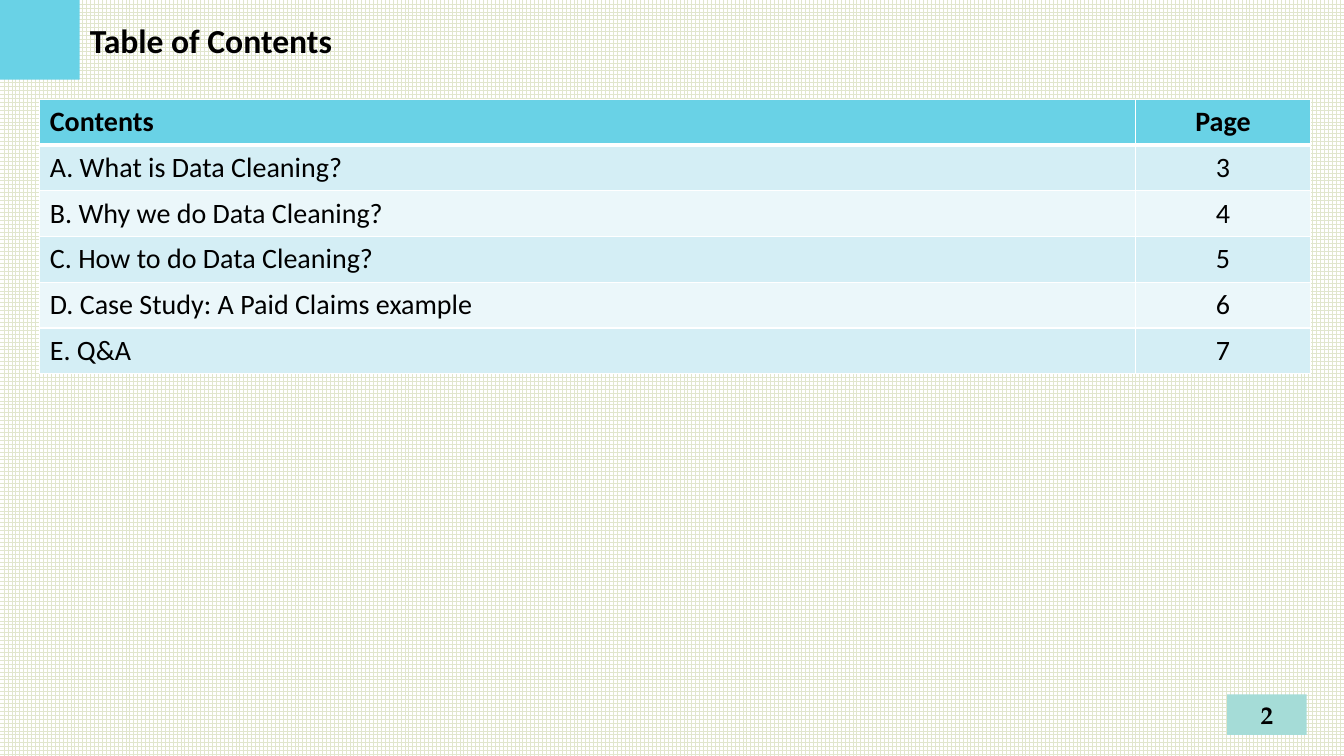
from lxml import etree
from pptx import Presentation
from pptx.dml.color import RGBColor
from pptx.enum.dml import MSO_PATTERN
from pptx.enum.shapes import MSO_SHAPE
from pptx.enum.text import MSO_ANCHOR, PP_ALIGN
from pptx.oxml.ns import qn
from pptx.util import Inches, Pt

TITLE = "Table of Contents"
PAGE_NUMBER = "2"
ROWS = [
    ("Contents", "Page"),
    ("A. What is Data Cleaning?", "3"),
    ("B. Why we do Data Cleaning?", "4"),
    ("C. How to do Data Cleaning?", "5"),
    ("D. Case Study: A Paid Claims example", "6"),
    ("E. Q&A", "7"),
]
COLUMN_WIDTHS = (10.87, 1.73)
COLUMN_ALIGNMENTS = (PP_ALIGN.LEFT, PP_ALIGN.CENTER)

SLIDE_WIDTH, SLIDE_HEIGHT = 13.33, 7.5
UNIT = 0.79  # side of the corner square, also the title band height
TABLE_LEFT, TABLE_TOP, TABLE_HEIGHT = UNIT / 2, UNIT * 1.25, 2.72

ACCENT, BADGE = "69D2E6", "A5DCD7"
BAND_FILLS = ("EBF7FA", "D4EEF5")
BLACK, WHITE, GRID_LINE = "000000", "FFFFFF", "E1E6CD"


def color(hex_string):
    return RGBColor.from_string(hex_string)


def write(text_frame, text, size, bold, alignment=PP_ALIGN.LEFT, font="Calibri"):
    text_frame.text = text
    paragraph = text_frame.paragraphs[0]
    paragraph.alignment = alignment
    paragraph.line_spacing = 1.0
    run_font = paragraph.runs[0].font
    run_font.name, run_font.size, run_font.bold = font, Pt(size), bold
    run_font.color.rgb = color(BLACK)


def add_rectangle(slide, left, top, width, height, fill):
    shape = slide.shapes.add_shape(MSO_SHAPE.RECTANGLE, Inches(left), Inches(top),
                                   Inches(width), Inches(height))
    shape.shadow.inherit = False
    shape.fill.solid()
    shape.fill.fore_color.rgb = color(fill)
    shape.line.fill.background()
    return shape


def set_borders(cell, widths):
    """Draw white cell borders; widths maps a side (L, R, T, B) to points."""
    properties = cell._tc.get_or_add_tcPr()
    for index, (side, width) in enumerate(widths.items()):
        line = etree.Element(qn(f"a:ln{side}"), w=str(Pt(width)))
        solid = etree.SubElement(line, qn("a:solidFill"))
        etree.SubElement(solid, qn("a:srgbClr"), val=WHITE)
        properties.insert(index, line)


def add_contents_table(slide):
    table = slide.shapes.add_table(
        len(ROWS), len(COLUMN_WIDTHS), Inches(TABLE_LEFT), Inches(TABLE_TOP),
        Inches(sum(COLUMN_WIDTHS)), Inches(TABLE_HEIGHT)).table
    for column, width in zip(table.columns, COLUMN_WIDTHS):
        column.width = Inches(width)
    for row_index, texts in enumerate(ROWS):
        is_header = row_index == 0
        fill = ACCENT if is_header else BAND_FILLS[row_index % 2]
        borders = {"L": 1, "R": 1, "T": 3 if row_index == 1 else 1,
                   "B": 3 if is_header else 1}
        for column_index, text in enumerate(texts):
            cell = table.cell(row_index, column_index)
            write(cell.text_frame, text, 20, is_header, COLUMN_ALIGNMENTS[column_index])
            cell.vertical_anchor = MSO_ANCHOR.MIDDLE
            cell.fill.solid()
            cell.fill.fore_color.rgb = color(fill)
            set_borders(cell, borders)


def main():
    presentation = Presentation()
    presentation.slide_width = Inches(SLIDE_WIDTH)
    presentation.slide_height = Inches(SLIDE_HEIGHT)
    slide = presentation.slides.add_slide(presentation.slide_layouts[5])

    background = slide.background.fill
    background.patterned()
    background.pattern = MSO_PATTERN.LARGE_GRID
    background.fore_color.rgb = color(GRID_LINE)
    background.back_color.rgb = color(WHITE)

    badge = add_rectangle(slide, 12.17, 6.89, UNIT, 0.4, BADGE)
    frame = badge.text_frame
    frame.margin_left = frame.margin_right = Inches(0.08)
    frame.margin_top = frame.margin_bottom = Inches(0.08)
    frame.vertical_anchor = MSO_ANCHOR.MIDDLE
    write(frame, PAGE_NUMBER, 18, True, PP_ALIGN.CENTER, "TeX Gyre Pagella")

    add_rectangle(slide, 0, 0, UNIT, UNIT, ACCENT)

    title = slide.shapes.title
    title.left, title.top = Inches(UNIT), 0
    title.width, title.height = Inches(7.62), Inches(UNIT)
    title.text_frame.vertical_anchor = MSO_ANCHOR.MIDDLE
    write(title.text_frame, TITLE, 24, True)

    add_contents_table(slide)
    presentation.save("out.pptx")


if __name__ == "__main__":
    main()
